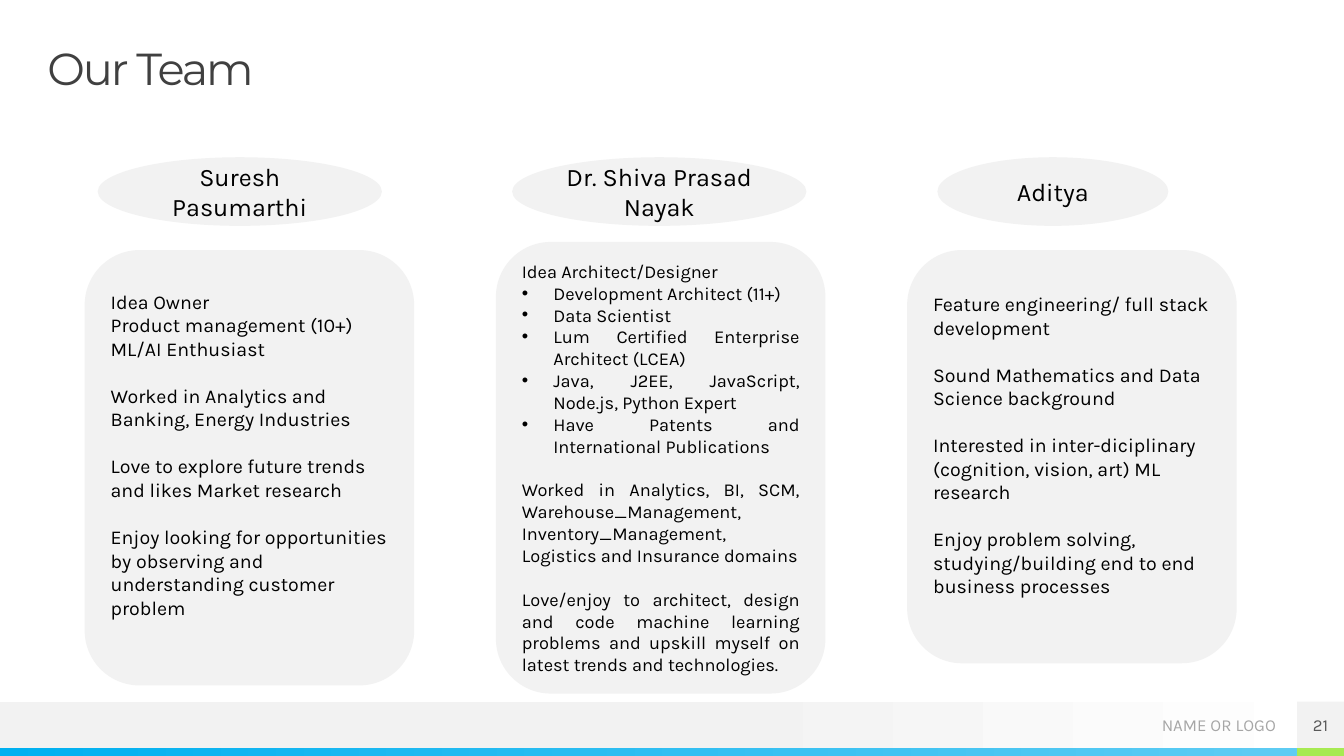
"""Build the team slide: three name ovals above three profile cards."""
from dataclasses import dataclass

import pptx
import pptx.dml.color
import pptx.enum.shapes
import pptx.enum.text
import pptx.oxml
import pptx.oxml.ns
import pptx.util

Pt = pptx.util.Pt
Align = pptx.enum.text.PP_ALIGN
Anchor = pptx.enum.text.MSO_ANCHOR
Preset = pptx.enum.shapes.MSO_SHAPE


@dataclass(frozen=True)
class Theme:
    body_font: str = "Karla"
    title_font: str = "Montserrat"
    white: str = "FFFFFF"
    panel: str = "F2F2F2"
    ink: str = "000000"
    title_ink: str = "404040"
    number_ink: str = "595959"
    footer_ink: str = "A6A6A6"
    blue: str = "00B0F0"
    sky: str = "5ECCF3"
    green: str = "A7EA52"
    title_size: float = 32
    name_size: float = 18
    card_size: float = 14
    dense_size: float = 13
    footer_size: float = 12
    line_factor: float = 1.2


@dataclass(frozen=True)
class Line:
    text: str
    gap: bool = False
    bullet: bool = False


@dataclass(frozen=True)
class Member:
    name: str
    oval_left: float
    oval_width: float
    card_top: float
    card_height: float
    lines: tuple[Line, ...]
    size: float
    align: Align = Align.LEFT
    bottom_inset: float = 3.6


THEME = Theme()
CARD_LEFT, CARD_STEP, CARD_WIDTH = 60.5, 293.75, 235.4
OVAL_TOP, OVAL_HEIGHT = 112.3, 49
PAGE_WIDTH, PAGE_HEIGHT = 960, 540
FOOTER_TOP, STRIP_TOP, CORNER_LEFT = 501.1, 534.2, 926.6
BULLET_INDENT = 22.5

TEAM = (
    Member("Suresh Pasumarthi", 69.8, 203, 178.6, 311, (
        Line("Idea Owner"),
        Line("Product management (10+)"),
        Line("ML/AI Enthusiast"),
        Line("Worked in Analytics and Banking, Energy Industries", gap=True),
        Line("Love to explore future trends and likes Market research", gap=True),
        Line("Enjoy looking for opportunities by observing and "
             "understanding customer problem", gap=True),
    ), THEME.card_size, bottom_inset=22.8),
    Member("Dr. Shiva Prasad Nayak", 365.8, 210.2, 172.8, 322.6, (
        Line("Idea Architect/Designer"),
        Line("Development Architect (11+)", bullet=True),
        Line("Data Scientist", bullet=True),
        Line("Lum Certified Enterprise Architect (LCEA)", bullet=True),
        Line("Java, J2EE, JavaScript, Node.js, Python Expert", bullet=True),
        Line("Have Patents and International Publications", bullet=True),
        Line("Worked in Analytics, BI, SCM, Warehouse_Management, "
             "Inventory_Management, Logistics and Insurance domains", gap=True),
        Line("Love/enjoy to architect, design and code machine learning problems "
             "and upskill myself on latest trends and technologies.", gap=True),
    ), THEME.dense_size, Align.JUSTIFY),
    Member("Aditya", 669.6, 164.9, 178.6, 295.2, (
        Line("Feature engineering/ full stack development"),
        Line("Sound Mathematics and Data Science background", gap=True),
        Line("Interested in inter-diciplinary (cognition, vision, art) ML research",
             gap=True),
        Line("Enjoy problem solving, studying/building end to end business processes",
             gap=True),
    ), THEME.card_size, bottom_inset=20.4),
)


def rgb(colour: str) -> pptx.dml.color.RGBColor:
    """Turn a hex string into a colour."""
    return pptx.dml.color.RGBColor.from_string(colour)


def add_panel(page, preset: Preset, left: float, top: float, width: float,
              height: float, *stops: tuple[float, str]):
    """Add an unlined shape, solid for one colour stop and gradient for two."""
    panel = page.shapes.add_shape(preset, Pt(left), Pt(top), Pt(width), Pt(height))
    panel.shadow.inherit = False
    panel.line.fill.background()
    if len(stops) == 1:
        panel.fill.solid()
        panel.fill.fore_color.rgb = rgb(stops[0][1])
    else:
        panel.fill.gradient()
        panel.fill.gradient_angle = 0
        for stop, (position, colour) in zip(panel.fill.gradient_stops, stops):
            stop.position = position
            stop.color.rgb = rgb(colour)
    return panel


def set_frame(box, anchor: Anchor = Anchor.MIDDLE, inset: float | None = None) -> None:
    """Wrap and anchor the text of a box, with equal insets if given."""
    frame = box.text_frame
    frame.word_wrap = True
    frame.vertical_anchor = anchor
    if inset is not None:
        frame.margin_left = frame.margin_right = Pt(inset)
        frame.margin_top = frame.margin_bottom = Pt(inset)


def add_bullet(para) -> None:
    """Give a paragraph a hanging round bullet."""
    properties = para._p.get_or_add_pPr()
    properties.set("marL", str(Pt(BULLET_INDENT)))
    properties.set("indent", str(-Pt(BULLET_INDENT)))
    namespace = pptx.oxml.ns.nsdecls("a")
    for markup in (f'<a:buFont {namespace} typeface="Arial"/>',
                   f'<a:buChar {namespace} char="•"/>'):
        properties.append(pptx.oxml.parse_xml(markup))


def write(para, text: str, *, size: float, colour: str = THEME.ink,
          font: str = THEME.body_font, align: Align = Align.LEFT,
          gap: bool = False, bullet: bool = False,
          line_spacing: float | None = None, tracking: float = 0) -> None:
    """Write one formatted span into a paragraph."""
    para.alignment = align
    if line_spacing:
        para.line_spacing = line_spacing
    if gap:
        para.space_before = Pt(size * THEME.line_factor)
    if bullet:
        add_bullet(para)
    span = para.add_run()
    span.text = text
    span.font.name = font
    span.font.size = Pt(size)
    span.font.color.rgb = rgb(colour)
    if tracking:
        span._r.get_or_add_rPr().set("spc", str(round(tracking * 100)))


def add_label(page, left: float, top: float, width: float, height: float,
              text: str, anchor: Anchor, **text_format) -> None:
    """Add a text box without insets."""
    box = page.shapes.add_textbox(Pt(left), Pt(top), Pt(width), Pt(height))
    set_frame(box, anchor, 0)
    write(box.text_frame.paragraphs[0], text, **text_format)


def add_footer(page) -> None:
    """Draw the footer bands, label and page number."""
    corner_width = PAGE_WIDTH - CORNER_LEFT
    band_height, strip_height = STRIP_TOP - FOOTER_TOP, PAGE_HEIGHT - STRIP_TOP
    add_panel(page, Preset.RECTANGLE, 0, FOOTER_TOP, PAGE_WIDTH, band_height,
              (0.53, THEME.panel), (1, THEME.white))
    add_panel(page, Preset.RECTANGLE, 0, STRIP_TOP, CORNER_LEFT, strip_height,
              (0, THEME.blue), (1, THEME.sky))
    add_panel(page, Preset.RECTANGLE, CORNER_LEFT, STRIP_TOP, corner_width,
              strip_height, (0, THEME.green))
    add_label(page, 750.2, FOOTER_TOP, 161.3, 33.8, "NAME OR LOGO", Anchor.MIDDLE,
              size=THEME.footer_size, colour=THEME.footer_ink, align=Align.RIGHT)
    number = add_panel(page, Preset.RECTANGLE, CORNER_LEFT, FOOTER_TOP, corner_width,
                       band_height, (0, THEME.panel))
    set_frame(number, inset=0)
    write(number.text_frame.paragraphs[0], "21", size=THEME.footer_size,
          colour=THEME.number_ink, align=Align.CENTER)


def add_member(page, member: Member, card_left: float) -> None:
    """Draw the name oval and profile card of one member."""
    oval = add_panel(page, Preset.OVAL, member.oval_left, OVAL_TOP,
                     member.oval_width, OVAL_HEIGHT, (0, THEME.panel))
    set_frame(oval)
    write(oval.text_frame.paragraphs[0], member.name, size=THEME.name_size,
          align=Align.CENTER)
    card = add_panel(page, Preset.ROUNDED_RECTANGLE, card_left, member.card_top,
                     CARD_WIDTH, member.card_height, (0, THEME.panel))
    set_frame(card)
    frame = card.text_frame
    frame.margin_bottom = Pt(member.bottom_inset)
    for index, line in enumerate(member.lines):
        para = frame.add_paragraph() if index else frame.paragraphs[0]
        write(para, line.text, size=member.size, align=member.align,
              gap=line.gap, bullet=line.bullet)


def main() -> None:
    """Build and save the deck."""
    deck = pptx.Presentation()
    deck.slide_width, deck.slide_height = Pt(PAGE_WIDTH), Pt(PAGE_HEIGHT)
    page = deck.slides.add_slide(deck.slide_layouts[6])
    add_footer(page)
    add_label(page, 33.8, 33.8, 892.8, 33.8, "Our Team", Anchor.TOP,
              size=THEME.title_size, colour=THEME.title_ink, font=THEME.title_font,
              line_spacing=0.9, tracking=-1.5)
    for index, member in enumerate(TEAM):
        add_member(page, member, CARD_LEFT + index * CARD_STEP)
    deck.save("out.pptx")


if __name__ == "__main__":
    main()
